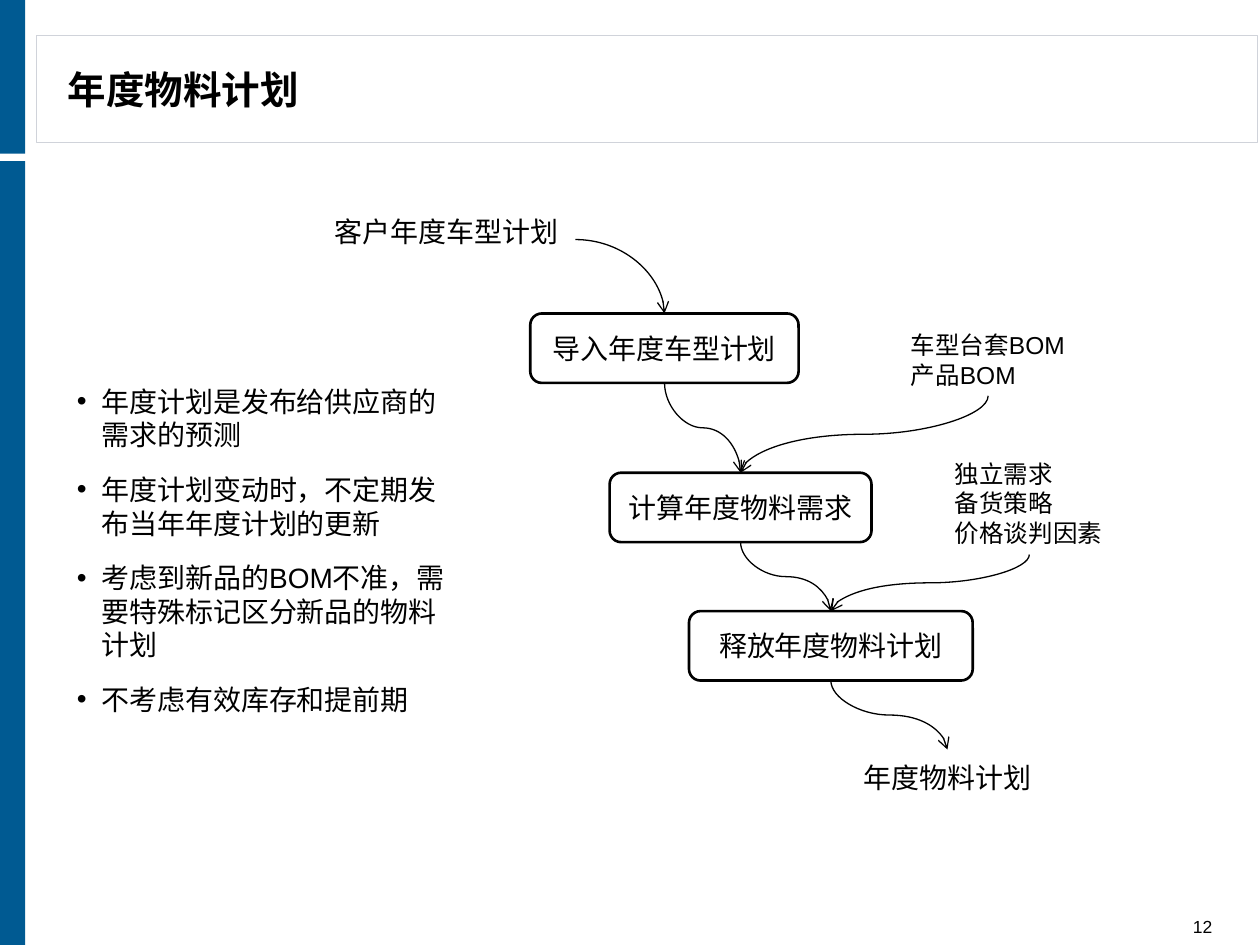
from lxml import etree
from pptx import Presentation
from pptx.dml.color import RGBColor
from pptx.enum import shapes, text
from pptx.oxml import ns
from pptx.util import Cm, Pt

FONT = "Arial"
BLACK, WHITE, BLUE, GREY = "000000", "FFFFFF", "005A92", "D0D3DA"
KIND = shapes.MSO_SHAPE
ALIGN = text.PP_ALIGN
ANCHOR = text.MSO_ANCHOR
STEP_HEIGHT = 1.4


def color(value):
    return RGBColor.from_string(value)


def add_xml(parent, tag, **attributes):
    return etree.SubElement(parent, ns.qn(tag), **attributes)


def write(shape, lines, size, align=ALIGN.LEFT, anchor=ANCHOR.MIDDLE, bold=False, inset=0):
    tf = shape.text_frame
    tf.word_wrap = True
    tf.vertical_anchor = anchor
    tf.margin_top = tf.margin_bottom = Cm(inset)
    tf.text = "\n".join(lines)
    for p in tf.paragraphs:
        p.alignment = align
        for r in p.runs:
            r.font.name = FONT
            r.font.size = Pt(size)
            r.font.bold = bold
            r.font.color.rgb = color(BLACK)


def add_box(s, kind, box, fill=WHITE, line=None, width=0.75):
    sp = s.shapes.add_shape(kind, *map(Cm, box))
    sp.shadow.inherit = False
    sp.fill.solid()
    sp.fill.fore_color.rgb = color(fill)
    if line:
        sp.line.color.rgb = color(line)
        sp.line.width = Pt(width)
    else:
        sp.line.fill.background()
    return sp


def add_label(s, box, lines, size, **style):
    write(s.shapes.add_textbox(*map(Cm, box)), lines, size, **style)


def add_step(s, box, caption):
    sp = add_box(s, KIND.ROUNDED_RECTANGLE, box, line=BLACK, width=1.5)
    write(sp, [caption], 16, ALIGN.CENTER)


def add_document(s, box, lines, align=ALIGN.CENTER):
    sp = add_box(s, KIND.FLOWCHART_DOCUMENT, box)
    write(sp, lines, 16, align)
    return sp


def add_bullets(s, box, lines):
    sp = add_document(s, box, lines, ALIGN.LEFT)
    for p in sp.text_frame.paragraphs:
        p.space_before = p.space_after = Pt(6)
        props = p._p.get_or_add_pPr()
        props.set("marL", str(Cm(0.5)))
        props.set("indent", str(Cm(-0.5)))
        add_xml(props, "a:buFont", typeface=FONT)
        add_xml(props, "a:buChar", char="•")


def add_arrow(s, x1, y1, x2, y2):
    line = s.shapes.add_connector(shapes.MSO_CONNECTOR.CURVE, *map(Cm, (x1, y1, x2, y2)))
    line.line.color.rgb = color(BLACK)
    line.line.width = Pt(0.75)
    add_xml(line.line._get_or_add_ln(), "a:tailEnd", type="arrow")
    add_xml(line._element.spPr, "a:effectLst")
    return line


def add_corner_arrow(s, *ends):
    """Curve that leaves sideways and arrives from above."""
    line = add_arrow(s, *ends)
    line._element.spPr.find(ns.qn("a:prstGeom")).set("prst", "curvedConnector2")


def add_down_arrow(s, x1, y1, x2, y2):
    """S-curve that leaves and arrives vertically: a sideways one turned by 90 degrees."""
    across, down = abs(x2 - x1), y2 - y1
    left, top = (x1 + x2 - down) / 2, (y1 + y2 - across) / 2
    line = add_arrow(s, left, top, left + down, top + across)
    xfrm = line._element.spPr.find(ns.qn("a:xfrm"))
    if x2 > x1:
        xfrm.set("rot", "16200000")
        xfrm.set("flipH", "1")
    else:
        xfrm.set("rot", "5400000")


def add_frame(s):
    add_box(s, KIND.RECTANGLE, (0.74, 0.71, 24.61, 2.16), line=GREY)
    for top, height in ((3.25, 15.8), (0, 3.1)):
        add_box(s, KIND.RECTANGLE, (0, top, 0.51, height), BLUE)
    add_label(s, (1.12, 0.79, 16, 2.01), ["年度物料计划"], 22, bold=True)
    add_label(s, (22.3, 18.44, 2.39, 0.46), ["12"], 10,
              align=ALIGN.RIGHT, anchor=ANCHOR.BOTTOM)


def add_flow(s):
    steps = [
        (10.69, 6.32, 5.41, "导入年度车型计划"),
        (12.29, 9.53, 5.28, "计算年度物料需求"),
        (13.89, 12.32, 5.72, "释放年度物料计划"),
    ]
    add_document(s, (6.4, 4.11, 5.21, STEP_HEIGHT), ["客户年度车型计划"])
    add_document(s, (15.9, 15.11, 6.4, STEP_HEIGHT), ["年度物料计划"])
    for left, top, width, caption in steps:
        add_step(s, (left, top, width, STEP_HEIGHT), caption)

    add_label(s, (18.11, 6.53, 3.63, 1.45), ["车型台套BOM", "产品BOM"], 14,
              anchor=ANCHOR.TOP, inset=0.13)
    add_label(s, (19, 9.12, 3.51, 2.06), ["独立需求", "备货策略", "价格谈判因素"], 14,
              anchor=ANCHOR.TOP, inset=0.13)

    tops = [(left + width / 2, top) for left, top, width, _ in steps]
    bottoms = [(x, y + STEP_HEIGHT) for x, y in tops]
    add_corner_arrow(s, 11.6, 4.83, *tops[0])
    for start, end in zip(bottoms, tops[1:] + [(19.1, 15.11)]):
        add_down_arrow(s, *start, *end)
    add_down_arrow(s, 19.92, 7.98, *tops[1])
    add_down_arrow(s, 20.75, 11.18, *tops[2])


def main():
    prs = Presentation()
    prs.slide_width, prs.slide_height = Cm(25.4), Cm(19.05)
    s = prs.slides.add_slide(prs.slide_layouts[6])
    add_frame(s)
    add_bullets(s, (1.3, 7.72, 8, 8.41), [
        "年度计划是发布给供应商的需求的预测",
        "年度计划变动时，不定期发布当年年度计划的更新",
        "考虑到新品的BOM不准，需要特殊标记区分新品的物料计划",
        "不考虑有效库存和提前期",
    ])
    add_flow(s)
    prs.save("out.pptx")


if __name__ == "__main__":
    main()
